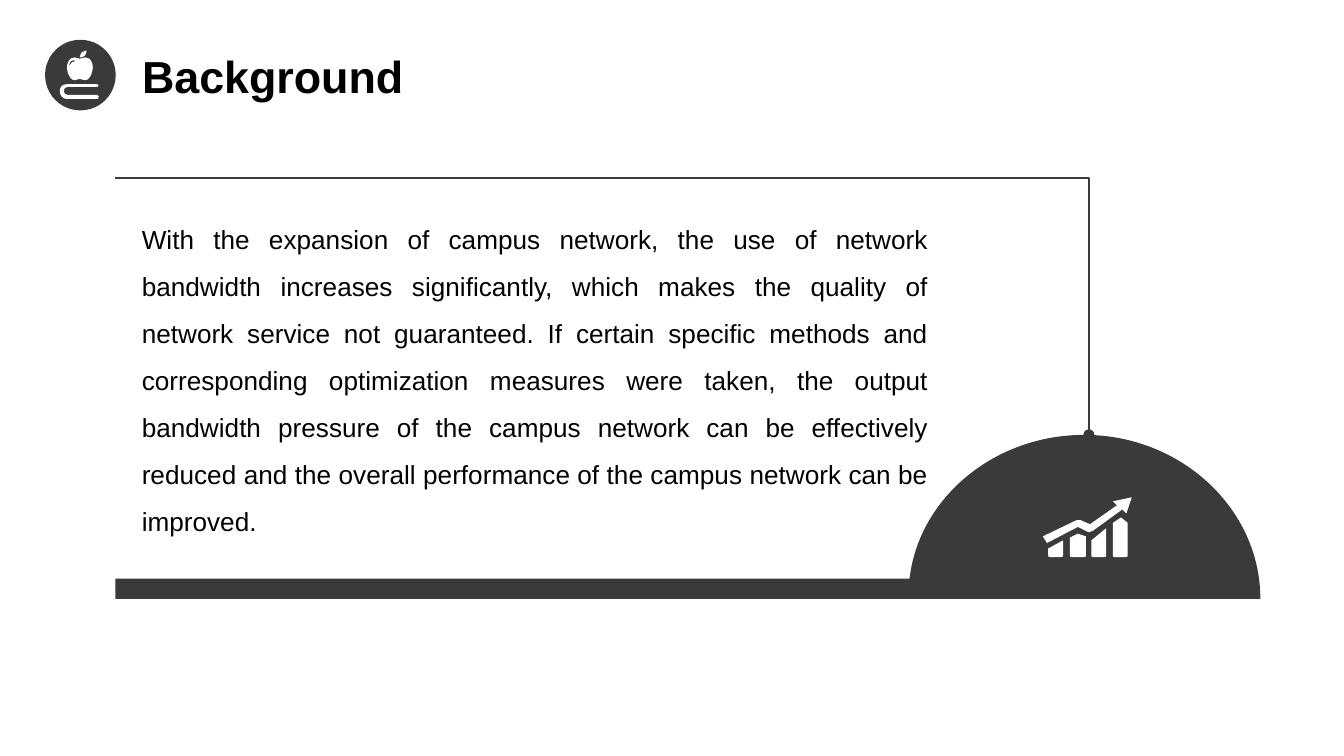
from pptx import Presentation
from pptx import util as u
from pptx.dml import color
from pptx.enum import shapes, text
from pptx.oxml import ns
from lxml import etree

COLORS = {"dark": "3A3A3A", "light": "FFFFFF", "ink": "000000"}
FONT = "Arial"
SUMMARY = (
    "With the expansion of campus network, the use of network bandwidth increases "
    "significantly, which makes the quality of network service not guaranteed. If certain "
    "specific methods and corresponding optimization measures were taken, the output "
    "bandwidth pressure of the campus network can be effectively reduced and the overall "
    "performance of the campus network can be improved."
)

DOME_ON_BAR = [
    [(721, 0), (654, 0, 598, 47, 591, 107), (0, 107), (0, 122), (852, 122),
     (852, 55, 793, 0, 721, 0)],
]
APPLE_ON_BOOK = [
    [(29, 34), (29, 35, 29, 36, 28, 36), (5, 36), (2, 36, 0, 33, 0, 30),
     (0, 27, 2, 25, 5, 25), (28, 25), (29, 25, 29, 25, 29, 26), (29, 27, 29, 27, 28, 27),
     (6, 27), (4, 27, 3, 28, 3, 30), (3, 32, 4, 33, 6, 33), (28, 33),
     (29, 33, 29, 34, 29, 34)],
    [(15, 5), (18, 5, 20, 3, 20, 0), (19, 0), (17, 0, 15, 2, 15, 4)],
    [(24, 9), (23, 6, 21, 5, 19, 5), (17, 5, 16, 6, 15, 6), (13, 6, 13, 5, 11, 5),
     (9, 5, 7, 6, 6, 9), (4, 13, 7, 22, 11, 22), (13, 22, 13, 21, 15, 21),
     (16, 21, 17, 22, 19, 22), (23, 22, 26, 13, 24, 9)],
    [(11, 8), (10, 8, 8, 9, 8, 10), (8, 10, 8, 11, 7, 11), (7, 10), (7, 8, 9, 7, 11, 7)],
]
TREND_ARROW = [
    (0, 29), (25, 17), (28, 17), (35, 20), (55, 6), (52, 3), (66, 0), (62, 12),
    (59, 9), (37, 25), (34, 26), (26, 22), (3, 34),
]
BAR_TOPS = [
    [(4, 38), (15, 32)],
    [(20, 30), (26, 27), (32, 29)],
    [(36, 32), (47, 23)],
    [(52, 19), (58, 15), (63, 19)],
]


def bar_contour(top):
    """Close a bar below its top edge with rounded lower corners."""
    left, right = top[0][0], top[-1][0]
    return top + [(right, 43), (right, 44, right, 44.5, right - 2, 44.5),
                  (left + 2, 44.5), (left, 44.5, left, 44, left, 43)]


def bend(shape, segments, left, top, unit):
    """Turn the lines of a freeform into cubic curves where segments have controls."""
    lines = list(shape.element.spPr.iter(ns.qn("a:lnTo")))
    for line, segment in zip(lines, segments):
        if len(segment) == 6:
            curve = etree.Element(ns.qn("a:cubicBezTo"))
            for x, y in zip(segment[::2], segment[1::2]):
                etree.SubElement(curve, ns.qn("a:pt"),
                                 x=str(u.Cm(left + x * unit) - shape.left),
                                 y=str(u.Cm(top + y * unit) - shape.top))
            line.getparent().replace(line, curve)


def add_outline(collection, left, top, width, grid, contours, close=True):
    """Draw contours from a grid scaled to the given width in centimetres."""
    unit = width / grid
    builder = None
    for contour in contours:
        start, *corners = [(u.Cm(s[-2] * unit), u.Cm(s[-1] * unit)) for s in contour]
        if builder:
            builder.move_to(*start)
        else:
            builder = collection.build_freeform(*start)
        builder.add_line_segments(corners, close=close)
    shape = builder.convert_to_shape(u.Cm(left), u.Cm(top))
    shape.shadow.inherit = False
    bend(shape, [s for contour in contours for s in contour[1:]], left, top, unit)
    return shape


def paint(shape, fill, line=None):
    """Give a shape a fill, and a one point line or none."""
    if fill:
        shape.fill.solid()
        shape.fill.fore_color.rgb = color.RGBColor.from_string(COLORS[fill])
    else:
        shape.fill.background()
    if line:
        shape.line.color.rgb = color.RGBColor.from_string(COLORS[line])
        shape.line.width = u.Pt(1)
    else:
        shape.line.fill.background()


def write(shape, words, size, alignment, bold=False):
    """Put one formatted run in the first paragraph of a shape."""
    frame = shape.text_frame
    frame.word_wrap = True
    frame.auto_size = text.MSO_AUTO_SIZE.NONE
    paragraph = frame.paragraphs[0]
    paragraph.alignment = alignment
    run = paragraph.add_run()
    run.text = words
    run.font.name, run.font.size, run.font.bold = FONT, u.Pt(size), bold
    run.font.color.rgb = color.RGBColor.from_string(COLORS["ink"])
    return paragraph


def add_heading(slide, left, top, size):
    """Place the round badge and the slide title beside it."""
    badge = slide.shapes.add_group_shape()
    disc = badge.shapes.add_shape(shapes.MSO_SHAPE.OVAL, u.Cm(left), u.Cm(top),
                                  u.Cm(size), u.Cm(size))
    disc.shadow.inherit = False
    paint(disc, "dark", "dark")
    icon = add_outline(badge.shapes, left + 0.26, top + 0.19, 0.76, 30, APPLE_ON_BOOK)
    paint(icon, "light")
    title = slide.shapes.title
    title.left, title.top = u.Cm(left + 1.56), u.Cm(top + 0.03)
    title.width, title.height = u.Cm(6.53), u.Cm(1.27)
    write(title, "Background", 24, text.PP_ALIGN.LEFT, bold=True)


def add_panel(slide, left, top, width):
    """Place the framed paragraph with the dome and its growth icon."""
    dome_top = top + 4.86
    dome = add_outline(slide.shapes, left, dome_top, width, 852, DOME_ON_BAR)
    paint(dome, "dark")
    frame = add_outline(slide.shapes, left, top, 18.4, 18.4,
                        [[(0, 0), (18.4, 0), (18.4, 4.86)]], close=False)
    paint(frame, None, "dark")
    outline = frame.element.spPr.find(ns.qn("a:ln"))
    etree.SubElement(outline, ns.qn("a:tailEnd"), type="oval")
    box = slide.shapes.add_textbox(u.Cm(left + 0.25), u.Cm(top + 0.44),
                                   u.Cm(15.37), u.Cm(6.48))
    paragraph = write(box, SUMMARY, 14, text.PP_ALIGN.JUSTIFY)
    paragraph.line_spacing = 1.5
    growth = add_outline(slide.shapes, left + 17.53, dome_top + 1.18, 1.68, 66,
                         [TREND_ARROW] + [bar_contour(top_edge) for top_edge in BAR_TOPS])
    paint(growth, "light")


def main():
    """Build the slide and save it."""
    presentation = Presentation()
    presentation.slide_width, presentation.slide_height = u.Cm(25.4), u.Cm(14.29)
    slide = presentation.slides.add_slide(presentation.slide_layouts[5])
    add_panel(slide, 2.18, 3.36, 21.64)
    add_heading(slide, 0.87, 0.77, 1.3)
    presentation.save("out.pptx")


if __name__ == "__main__":
    main()
